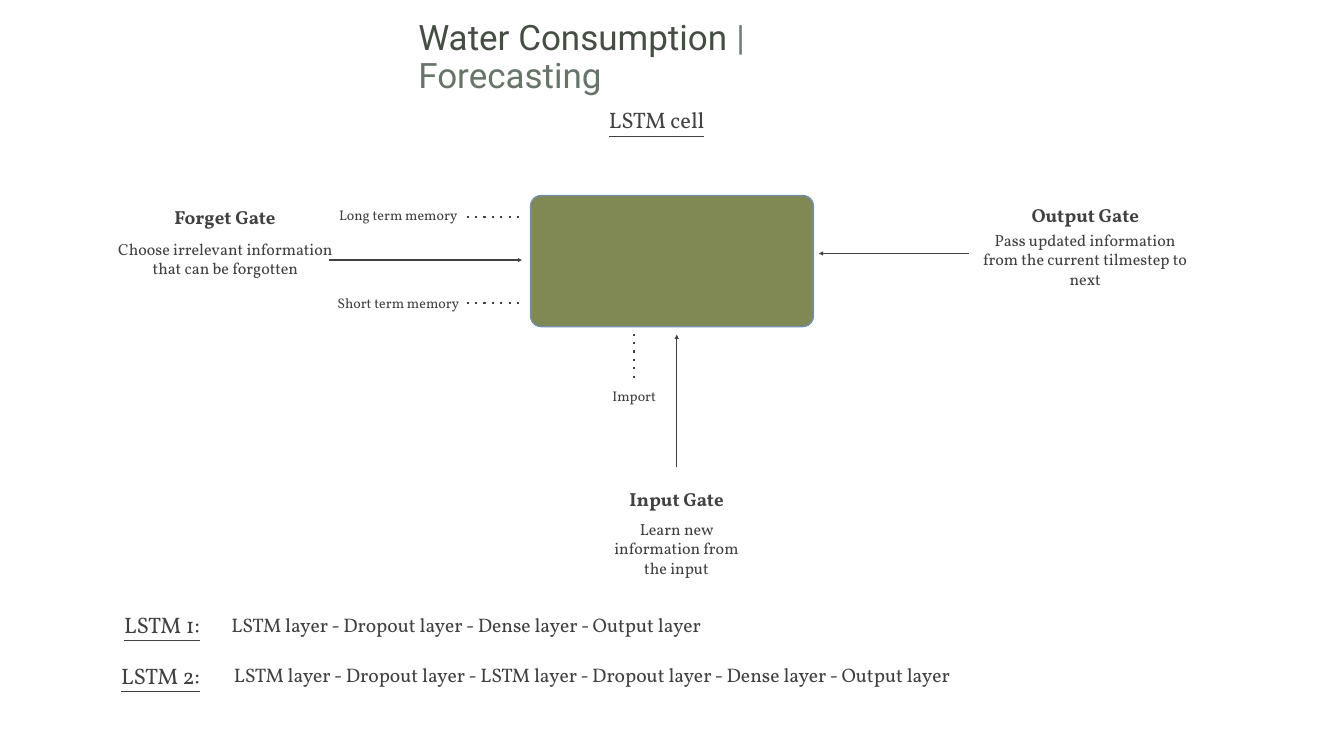
from lxml import etree
from pptx import Presentation
from pptx.dml.color import RGBColor
from pptx.enum.shapes import MSO_CONNECTOR, MSO_SHAPE
from pptx.enum.text import MSO_ANCHOR, PP_ALIGN
from pptx.oxml.ns import qn
from pptx.util import Inches, Pt

STRAIGHT = MSO_CONNECTOR.STRAIGHT
ROUNDED = MSO_SHAPE.ROUNDED_RECTANGLE
MIDDLE = MSO_ANCHOR.MIDDLE
LEFT, CENTER = PP_ALIGN.LEFT, PP_ALIGN.CENTER

COLORS = {
    "text": "414141",
    "title": "444E42",
    "bar": "6F7D71",
    "subtitle": "677468",
    "cell": "808854",
    "cell_line": "738FAF",
}


def rgb(name):
    return RGBColor.from_string(COLORS[name])


def add_text(text, x, y, w, h, size=23, color="text", font="Vollkorn",
             bold=False, underline=False, align=CENTER, wrap=True, spacing=None):
    """Add a text box; text is a string or a list of (text, colour) runs."""
    tf = s.shapes.add_textbox(Inches(x), Inches(y), Inches(w), Inches(h)).text_frame
    tf.word_wrap = wrap
    tf.vertical_anchor = MIDDLE
    tf.margin_left = tf.margin_right = tf.margin_top = tf.margin_bottom = Inches(0.06)
    p = tf.paragraphs[0]
    p.alignment = align
    p.line_spacing = spacing
    runs = [(text, color)] if isinstance(text, str) else text
    for run_text, run_color in runs:
        if run_text == "\n":
            p.add_line_break()
            continue
        r = p.add_run()
        r.text = run_text
        r.font.name = font
        r.font.size = Pt(size)
        r.font.bold = bold
        r.font.underline = underline
        r.font.color.rgb = rgb(run_color)


prs = Presentation()
prs.slide_width, prs.slide_height = Inches(26.67), Inches(15)
s = prs.slides.add_slide(prs.slide_layouts[6])

# Headings
title = [("Water Consumption ", "title"), ("| ", "bar"), ("\n", None),
         ("Forecasting", "subtitle")]
add_text(title, 8.24, 0.68, 9.19, 0.94, size=50, font="Roboto",
         align=LEFT, wrap=False, spacing=0.9)
add_text("LSTM cell", 11.98, 2.03, 2.1, 0.69, size=32, underline=True, wrap=False)

# Gates: name and its position, description and its box
gates = [
    ("Forget Gate", 2.92, 4.01,
     "Choose irrelevant information that can be forgotten", 2.27, 4.66, 4.41, 0.94),
    ("Input Gate", 11.88, 9.61,
     "Learn new information from the input", 11.88, 10.2, 3.09, 1.36),
    ("Output Gate", 19.99, 3.96,
     "Pass updated information from the current tilmestep to next",
     19.33, 4.47, 4.41, 1.36),
]
for name, name_x, name_y, description, x, y, w, h in gates:
    add_text(name, name_x, name_y, 3.09, 0.6, size=27, bold=True)
    add_text(description, x, y, w, h)

# Cell inputs
for label, x, y in [("Long term memory", 5.7, 4.02),
                    ("Short term memory", 5.7, 5.78),
                    ("Import", 10.38, 7.62)]:
    add_text(label, x, y, 4.41, 0.47, size=20)

# Gate arrows, then dotted input lines
links = [
    (19.23, 5.03, 16.25, 5.03, "arrow"),
    (6.52, 5.16, 10.36, 5.16, "arrow"),
    (13.43, 9.27, 13.43, 6.64, "arrow"),
    (9.26, 4.31, 10.38, 4.31, "dotted"),
    (9.26, 6.01, 10.38, 6.01, "dotted"),
    (12.59, 6.62, 12.59, 7.5, "dotted"),
]
for x1, y1, x2, y2, style in links:
    link = s.shapes.add_connector(STRAIGHT, Inches(x1), Inches(y1), Inches(x2), Inches(y2))
    link.line.color.rgb = rgb("text")
    link.line.width = Pt(2 if style == "arrow" else 3)
    ln = link.line._get_or_add_ln()
    if style == "arrow":
        etree.SubElement(ln, qn("a:tailEnd"), type="triangle")
    else:
        etree.SubElement(ln, qn("a:prstDash"), val="dot")
    etree.SubElement(link._element.spPr, qn("a:effectLst"))

# Model architectures
models = [
    ("LSTM 1:", 2.33, 12.04,
     "LSTM layer - Dropout layer - Dense layer - Output layer", 4.36, 9.78),
    ("LSTM 2:", 2.3, 13.05,
     "LSTM layer - Dropout layer - LSTM layer - Dropout layer - Dense layer - Output layer",
     4.31, 14.87),
]
for name, x, y, layers, layers_x, layers_w in models:
    add_text(name, x, y, 1.77, 0.69, size=32, underline=True, wrap=False)
    add_text(layers, layers_x, y + 0.03, layers_w, 0.63, size=28, wrap=False)

# LSTM cell
cell = s.shapes.add_shape(ROUNDED, Inches(10.53), Inches(3.88), Inches(5.61), Inches(2.6))
cell.adjustments[0] = 0.08
cell.shadow.inherit = False
cell.fill.solid()
cell.fill.fore_color.rgb = rgb("cell")
cell.line.color.rgb = rgb("cell_line")
cell.line.width = Pt(2)

prs.save("out.pptx")
